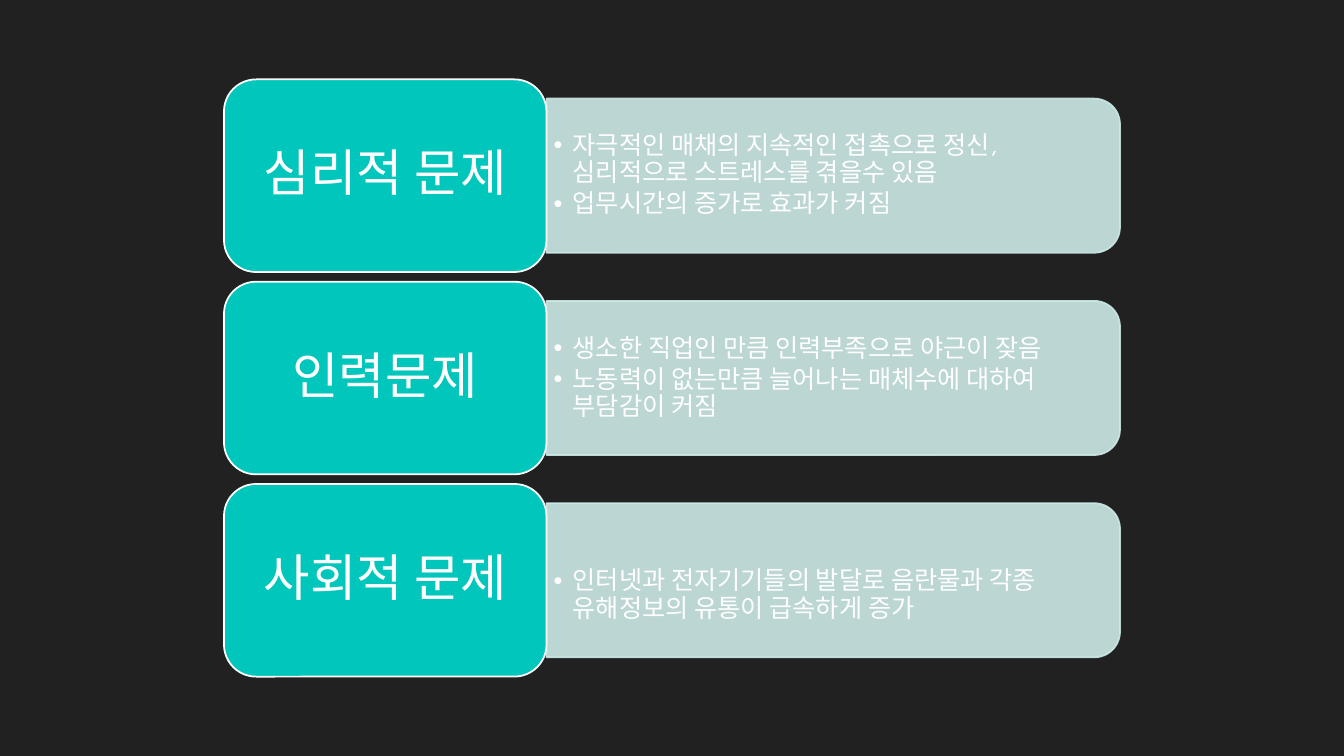
from dataclasses import dataclass
from pptx import Presentation
from pptx.dml.color import RGBColor
from pptx.enum.shapes import MSO_SHAPE as Shape
from pptx.enum.text import MSO_ANCHOR as Anchor, MSO_AUTO_SIZE as AutoSize, PP_ALIGN as Align
from pptx.oxml.ns import qn
from pptx.util import Inches, Pt
from lxml.etree import SubElement


@dataclass(frozen=True)
class Theme:
    background: str = "212121"
    heading: str = "00C6BB"
    panel: str = "CCEAE7"
    text: str = "FFFFFF"
    font: str = "TeX Gyre Adventor"
    heading_size: float = 36
    list_size: float = 18
    line: float = 1.25
    panel_alpha: int = 90


@dataclass(frozen=True)
class Box:
    left: float
    top: float
    width: float
    height: float

    def share(self, left, top, width, height):
        """Return a box given as shares of this one."""
        return Box(self.left + left * self.width, self.top + top * self.height,
                   width * self.width, height * self.height)


THEME = Theme()
SLIDE = Box(0, 0, 13.33, 7.5)
AREA = SLIDE.share(1 / 6, 0.105, 2 / 3, 0.79)
GAP = 0.05          # space between rows, as a share of a row
HEADING_SHARE = 0.36
LIST_SLOTS = (1, 2, 3)

# heading, list items, extra space above the list
PROBLEMS = [
    ("심리적 문제", ["자극적인 매채의 지속적인 접촉으로 정신, 심리적으로 스트레스를 겪을수 있음",
                "업무시간의 증가로 효과가 커짐"], 0),
    ("인력문제", ["생소한 직업인 만큼 인력부족으로 야근이 잦음",
              "노동력이 없는만큼 늘어나는 매체수에 대하여 부담감이 커짐"], 0),
    ("사회적 문제", ["인터넷과 전자기기들의 발달로 음란물과 각종 유해정보의 유통이 급속하게 증가"], 0.3),
]


def place(shape, box):
    shape.left, shape.top = Inches(box.left), Inches(box.top)
    shape.width, shape.height = Inches(box.width), Inches(box.height)


def write(shape, lines, size, align=Align.LEFT, inset=(0.07, 0.04), extra_top=0,
          bullet=False, after=0):
    frame = shape.text_frame
    frame.word_wrap = True
    frame.auto_size = AutoSize.NONE
    frame.vertical_anchor = Anchor.MIDDLE
    frame.margin_left = frame.margin_right = Inches(inset[0])
    frame.margin_top = Inches(inset[1] + extra_top)
    frame.margin_bottom = Inches(inset[1])
    for index, line in enumerate(lines):
        para = frame.add_paragraph() if index else frame.paragraphs[0]
        para.alignment = align
        para.line_spacing = 0.9
        para.space_before, para.space_after = Pt(0), Pt(after)
        span = para.add_run()
        span.text = line
        span.font.name, span.font.size, span.font.bold = THEME.font, Pt(size), False
        span.font.color.rgb = RGBColor.from_string(THEME.text)
        if bullet:
            props = para._p.get_or_add_pPr()
            props.set("marL", str(Inches(0.19)))
            props.set("indent", str(-Inches(0.19)))
            SubElement(props, qn("a:buChar")).set("char", "•")


def add_block(page, kind, box, fill, line, alpha=100):
    shape = page.shapes.add_shape(kind, 0, 0, 0, 0)
    place(shape, box)
    shape.shadow.inherit = False
    shape.fill.solid()
    shape.fill.fore_color.rgb = RGBColor.from_string(fill)
    shape.line.color.rgb = RGBColor.from_string(line)
    shape.line.width = Pt(THEME.line)
    if alpha < 100:
        for color in shape._element.spPr.iter(qn("a:srgbClr")):
            SubElement(color, qn("a:alpha")).set("val", str(alpha * 1000))
    return shape


def add_panel(page, box, body, items, extra_top):
    # The shape is rounded at its top, so it stands upright before a quarter turn
    upright = Box(box.left + (box.width - box.height) / 2,
                  box.top + (box.height - box.width) / 2, box.height, box.width)
    panel = add_block(page, Shape.ROUND_2_SAME_RECTANGLE, upright,
                      THEME.panel, THEME.panel, THEME.panel_alpha)
    panel.rotation = 90
    # List in front of its panel
    place(body, box.share(0, 0.05, 0.986, 0.9))
    write(body, items, THEME.list_size, extra_top=extra_top, bullet=True, after=2.7)
    panel._element.addnext(body._element)


def add_heading(page, box, text):
    card = add_block(page, Shape.ROUNDED_RECTANGLE, box, THEME.heading, THEME.text)
    write(card, [text], THEME.heading_size, align=Align.CENTER, inset=(0.15, 0.07))


def add_row(page, box, body, heading, items, extra_top):
    add_panel(page, box.share(HEADING_SHARE, 0.1, 1 - HEADING_SHARE, 0.8),
              body, items, extra_top)
    add_heading(page, box.share(0, 0, HEADING_SHARE, 1), heading)


def build_problem_page(deck):
    page = deck.slides.add_slide(deck.slide_layouts.get_by_name("Comparison"))
    page.background.fill.solid()
    page.background.fill.fore_color.rgb = RGBColor.from_string(THEME.background)
    slots = {slot.placeholder_format.idx: slot for slot in page.placeholders}
    # Rows at equal gaps
    count = len(PROBLEMS)
    height = 1 / (count + (count - 1) * GAP)
    for index, (slot, problem) in enumerate(zip(LIST_SLOTS, PROBLEMS)):
        row = AREA.share(0, index * height * (1 + GAP), 1, height)
        add_row(page, row, slots.pop(slot), *problem)
    # Unused placeholders
    for slot in slots.values():
        slot._element.getparent().remove(slot._element)


deck = Presentation()
deck.slide_width, deck.slide_height = Inches(SLIDE.width), Inches(SLIDE.height)
build_problem_page(deck)
deck.save("out.pptx")
